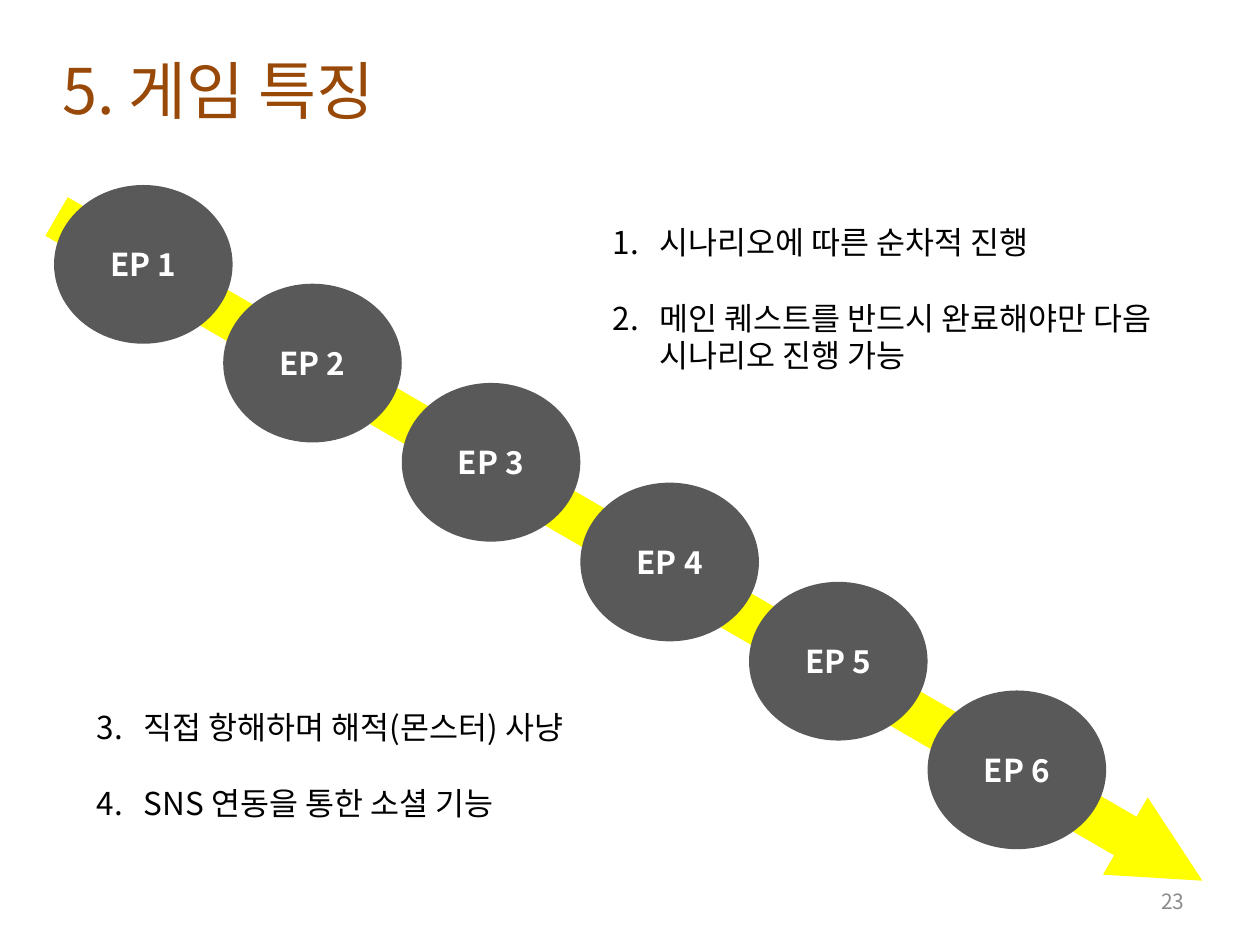
from lxml.etree import SubElement
from pptx import Presentation
from pptx.dml.color import RGBColor
from pptx.enum.shapes import MSO_SHAPE as Shape
from pptx.enum.text import MSO_ANCHOR as Anchor, MSO_AUTO_SIZE as AutoSize, PP_ALIGN as Align
from pptx.oxml.ns import qn
from pptx.util import Cm, Pt

FONT = "Noto Sans CJK KR"
COLORS = {
    "title": "984807",
    "arrow": "FFFF00",
    "episode": "595959",
    "light": "FFFFFF",
    "body": "000000",
    "number": "8C8C8C",
}
EPISODE_SIZE = Cm(3.6), Cm(3.2)
EPISODE_POSITIONS = [(1.09, 3.73), (4.5, 5.72), (8.1, 7.72),
                     (11.7, 9.73), (15.1, 11.73), (18.7, 13.92)]


def color(name):
    return RGBColor.from_string(COLORS[name])


def format_paragraph(paragraph, size, color_name, align=Align.LEFT, bold=False):
    paragraph.alignment = align
    for run in paragraph.runs:
        font = run.font
        font.size, font.bold, font.name = Pt(size), bold, FONT
        font.color.rgb = color(color_name)
        SubElement(run._r.get_or_add_rPr(), qn("a:ea"), typeface=FONT)


def add_title(slide, text):
    title = slide.shapes.title
    title.left, title.top, title.width, title.height = Cm(1), Cm(0.91), Cm(7.65), Cm(1.8)
    frame = title.text_frame
    frame.text = text
    frame.word_wrap = False
    frame.auto_size = AutoSize.SHAPE_TO_FIT_TEXT
    frame.vertical_anchor = Anchor.TOP
    format_paragraph(frame.paragraphs[0], 36, "title")


def add_filled_shape(slide, kind, left, top, width, height, fill):
    shape = slide.shapes.add_shape(kind, left, top, width, height)
    shape.shadow.inherit = False
    shape.fill.solid()
    shape.fill.fore_color.rgb = color(fill)
    shape.line.fill.background()
    return shape


def add_progress_arrow(slide):
    arrow = add_filled_shape(slide, Shape.RIGHT_ARROW,
                             Cm(-0.66), Cm(10.16), Cm(26.7), Cm(1.8), "arrow")
    arrow.adjustments[1] = 0.998
    arrow.rotation = 30.1


def add_episode(slide, number, left, top):
    circle = add_filled_shape(slide, Shape.OVAL, Cm(left), Cm(top), *EPISODE_SIZE, "episode")
    frame = circle.text_frame
    frame.text = f"EP {number}"
    frame.vertical_anchor = Anchor.MIDDLE
    format_paragraph(frame.paragraphs[0], 18, "light", Align.CENTER, True)


def add_text_box(slide, left, top, width, height, text):
    frame = slide.shapes.add_textbox(Cm(left), Cm(top), Cm(width), Cm(height)).text_frame
    frame.word_wrap = True
    frame.vertical_anchor = Anchor.MIDDLE
    frame.text = text
    return frame


def add_numbered_list(slide, left, top, items, start=1):
    frame = add_text_box(slide, left, top, 12.8, 3.4, "\n".join(items))
    for index, paragraph in enumerate(frame.paragraphs):
        format_paragraph(paragraph, 18, "body")
        if index:
            paragraph.space_before = Pt(21.6)
        properties = paragraph._p.get_or_add_pPr()
        properties.set("marL", str(Cm(0.95)))
        properties.set("indent", str(Cm(-0.95)))
        SubElement(properties, qn("a:buFont"), typeface="+mj-lt")
        SubElement(properties, qn("a:buAutoNum"), type="arabicPeriod", startAt=str(start))


def add_slide_number(slide, number):
    frame = add_text_box(slide, 18.2, 17.65, 5.93, 1.02, number)
    format_paragraph(frame.paragraphs[0], 12, "number", Align.RIGHT)


def main():
    presentation = Presentation()
    presentation.slide_width, presentation.slide_height = Cm(25.4), Cm(19.05)
    slide = presentation.slides.add_slide(presentation.slide_layouts[5])

    # Heading and page number
    add_title(slide, "5. 게임 특징")
    add_slide_number(slide, "23")

    # Episodes along the arrow
    add_progress_arrow(slide)
    for number, (left, top) in enumerate(EPISODE_POSITIONS, start=1):
        add_episode(slide, number, left, top)

    # Game features
    add_numbered_list(slide, 12.1, 4.32, [
        "시나리오에 따른 순차적 진행",
        "메인 퀘스트를 반드시 완료해야만 다음 시나리오 진행 가능",
    ])
    add_numbered_list(slide, 1.7, 13.72, [
        "직접 항해하며 해적(몬스터) 사냥",
        "SNS 연동을 통한 소셜 기능",
    ], start=3)

    presentation.save("out.pptx")


if __name__ == "__main__":
    main()
